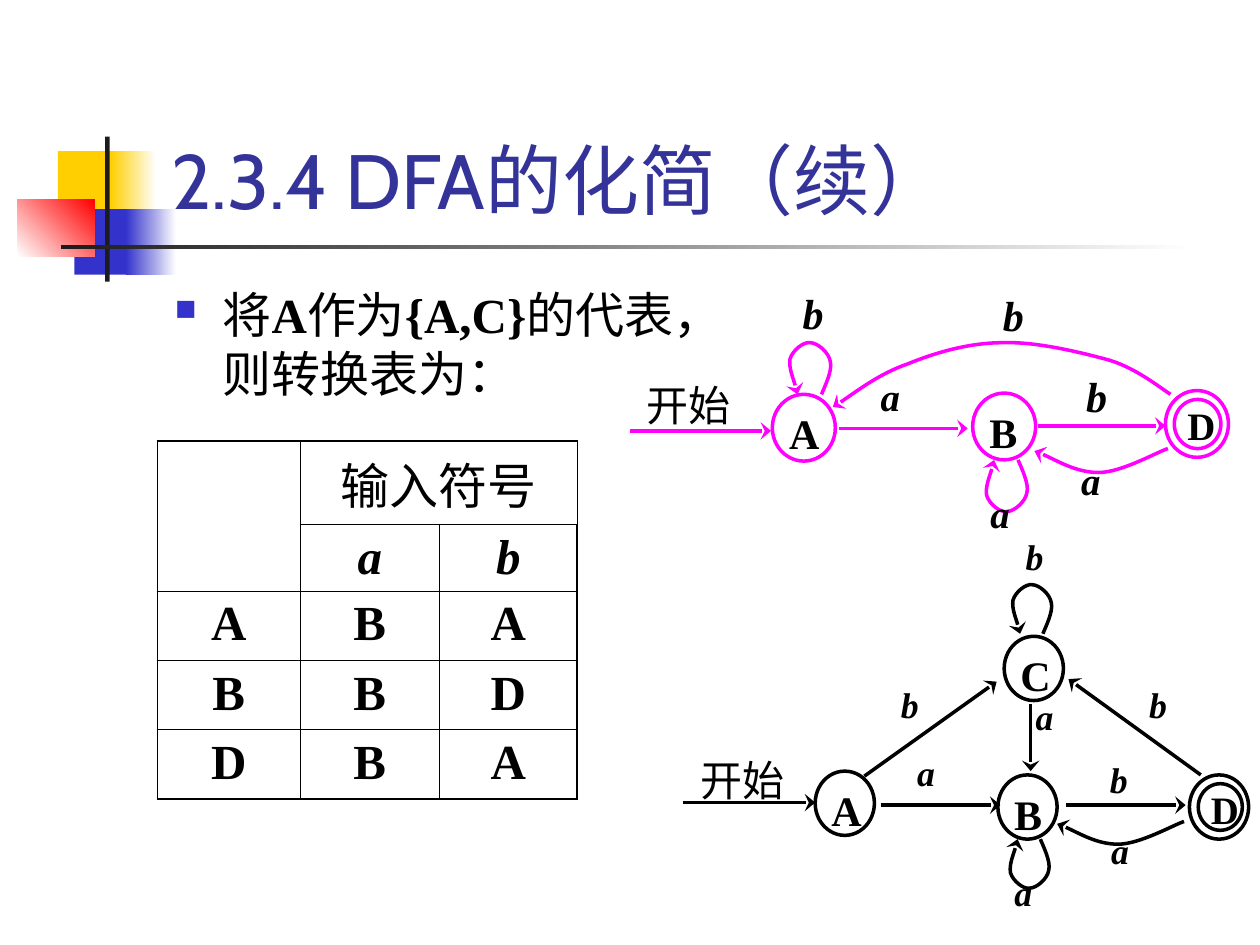
"""Build the DFA minimisation slide with its transition table and two state diagrams."""
import lxml.etree
import pptx
import pptx.dml.color
import pptx.enum.shapes
import pptx.enum.text
import pptx.oxml.ns
import pptx.util

COLOURS = {"gold": "FFCF01", "blue": "3333CC", "red": "FF0000", "white": "FFFFFF",
           "dark": "1C1C1C", "title": "333399", "black": "000000", "magenta": "FF00FF"}
RGB = {name: pptx.dml.color.RGBColor.from_string(value) for name, value in COLOURS.items()}
ALIGN = pptx.enum.text.PP_ALIGN
SHAPE = pptx.enum.shapes.MSO_SHAPE
qn = pptx.oxml.ns.qn
SERIF, SANS = "Times New Roman", "Cabin"

deck = pptx.Presentation()
deck.slide_width, deck.slide_height = pptx.util.Inches(10), pptx.util.Inches(7.5)
CELL = deck.slide_width // 100
page = deck.slides.add_slide(deck.slide_layouts[5])


def write(frame, text, size=24, font=SERIF, bold=False, italic=False, colour="black",
          align=ALIGN.LEFT, before=0, spacing=None, insets=None):
    """Append a formatted run to the first paragraph of a frame."""
    frame.word_wrap = True
    if insets:
        (frame.margin_left, frame.margin_top, frame.margin_right,
         frame.margin_bottom) = [int(inset * CELL) for inset in insets]
    para = frame.paragraphs[0]
    para.alignment, para.space_before = align, pptx.util.Pt(before)
    if spacing:
        para.line_spacing = spacing
    span = para.add_run()
    span.text = text
    span.font.size, span.font.name = pptx.util.Pt(size), font
    span.font.bold, span.font.italic = bold, italic
    span.font.color.rgb = RGB[colour]
    return para


def stroke(shape, colour, arrow=False):
    """Draw a two-point line, optionally with an arrowhead, and no shadow."""
    shape.line.color.rgb = RGB[colour]
    shape.line.width = pptx.util.Pt(2)
    properties = shape._element.spPr
    if arrow:
        lxml.etree.SubElement(properties.find(qn("a:ln")), qn("a:tailEnd"),
                              type="stealth", w="lg", len="med")
    lxml.etree.SubElement(properties, qn("a:effectLst"))


for left, top, width, height, start, end, angle in [
        (4.6, 12, 4.8, 5.2, "gold", None, 0),
        (8.8, 12, 3.6, 5.2, "gold", "white", 0),
        (5.9, 16.6, 4.6, 5.2, "blue", None, 0),
        (10, 16.6, 4, 5.2, "blue", "white", 0),
        (1.4, 15.8, 6.1, 4.6, "white", "red", 45),
        (8.35, 10.85, 0.35, 11.5, "dark", None, 0),
        (4.85, 19.45, 90, 0.35, "dark", "white", 0)]:
    block = page.shapes.add_shape(
        SHAPE.RECTANGLE, *[int(value * CELL) for value in (left, top, width, height)])
    block.shadow.inherit = False
    block.line.fill.background()
    if end:
        block.fill.gradient()
        block.fill.gradient_angle = angle
        for stop, name in zip(block.fill.gradient_stops, (start, end)):
            stop.color.rgb = RGB[name]
    else:
        block.fill.solid()
        block.fill.fore_color.rgb = RGB[start]

title = page.shapes.title
title.left, title.top, title.width, title.height = [
    int(value * CELL) for value in (12.6, 2.35, 85.2, 16)]
title.text_frame.auto_size = pptx.enum.text.MSO_AUTO_SIZE.NONE
title.text_frame.vertical_anchor = pptx.enum.text.MSO_ANCHOR.BOTTOM
write(title.text_frame, "2.3.4 DFA的化简（续）", size=44, font=SANS, colour="title")
page.shapes._spTree.append(title._element)

body = page.shapes.add_textbox(*[int(value * CELL) for value in (12.9, 22.1, 41.7, 45)])
for index, text in enumerate(["将", "A", "作为", "{A,C}", "的代表，则转换表为："]):
    latin = index % 2 == 1
    para = write(body.text_frame, text, size=28, font=SERIF if latin else SANS,
                 bold=latin, before=7)
bullet = para._p.get_or_add_pPr()
bullet.set("marL", str(int(3.8 * CELL)))
bullet.set("indent", str(int(-3.8 * CELL)))
tint = lxml.etree.SubElement(bullet, qn("a:buClr"))
lxml.etree.SubElement(tint, qn("a:srgbClr"), val=COLOURS["blue"])
lxml.etree.SubElement(bullet, qn("a:buSzPct"), val="60000")
lxml.etree.SubElement(bullet, qn("a:buFont"), typeface="Wingdings", charset="2")
lxml.etree.SubElement(bullet, qn("a:buChar"), char="n")

rows = [["", "输入符号", ""], ["", "a", "b"], ["A", "B", "A"], ["B", "B", "D"], ["D", "B", "A"]]
table = page.shapes.add_table(
    5, 3, *[int(value * CELL) for value in (12.5, 35, 33.3, 28.4)]).table
table.first_row = table.horz_banding = False
for column, width in zip(table.columns, (11.3, 11.1, 10.9)):
    column.width = int(width * CELL)
for row, height in zip(table.rows, (6.6, 5.3, 5.5, 5.5, 5.5)):
    row.height = int(height * CELL)
table.cell(0, 0).merge(table.cell(1, 0))
table.cell(0, 1).merge(table.cell(0, 2))
for r, texts in enumerate(rows):
    for c, text in enumerate(texts):
        cell = table.cell(r, c)
        cell.fill.background()
        cell.margin_left = cell.margin_right = int(0.6 * CELL)
        cell.margin_top, cell.margin_bottom = int(0.5 * CELL), 0
        if text:
            write(cell.text_frame, text, size=28, font=SERIF if r else SANS, bold=r > 0,
                  italic=r == 1, align=ALIGN.CENTER, before=7)
        outer = {"lnL": c == 0, "lnR": c == 2, "lnT": r == 0, "lnB": r == 4}
        for place, (side, thick) in enumerate(outer.items()):
            edge = lxml.etree.Element(
                qn("a:" + side), w=str(pptx.util.Pt(1.08 if thick else 0.45)))
            ink = lxml.etree.SubElement(edge, qn("a:solidFill"))
            lxml.etree.SubElement(ink, qn("a:srgbClr"), val=COLOURS["black"])
            cell._tc.get_or_add_tcPr().insert(place, edge)

LOOP = [(2.6, 0), (2.8, -0.5), (3.5, -1.9), (3.3, -2.6), (3.2, -3.3), (2.3, -4.1), (1.7, -4.1),
        (1.2, -4.2), (0.3, -3.5), (0.1, -2.8), (0, -2.1), (0.6, -0.6), (0.7, 0)]
RETURN = [(10.6, 0), (9.7, 0.3), (6.9, 1.9), (5.1, 1.9), (3.3, 1.9), (1, 0.5), (0, 0.2)]
ARCH = [(26.8, 4.2), (26, 3.7), (24.2, 2.2), (22, 1.5), (19.8, 0.9), (16.2, 0), (13.5, 0.1),
        (10.8, 0.1), (8.1, 0.9), (5.9, 1.8), (3.6, 2.6), (1.2, 4.5), (0, 5.2)]
diagrams = [
    {"colour": "black", "scale": 0.95, "ring": (4.7, 5.1), "core": (3.5, 3.7),
     "states": [("B", 79.2, 61.5), ("", 94.4, 61.5), ("D", 95.1, 62.2),
                ("A", 64.7, 61.2), ("C", 79.7, 50.5)],
     "arrows": [(54.2, 63.7, 64.7, 63.7), (69.9, 63.9, 79.4, 63.9), (84.6, 63.9, 94.1, 63.9),
                (68.6, 61.6, 79.1, 54.1), (81.8, 55.9, 81.8, 61.2), (95.3, 61.5, 84.8, 53.9)],
     "curves": [(LOOP, 80.3, 50.3, 1), (LOOP, 80.1, 66.6, -1), (RETURN, 83.9, 65.2, 1)],
     "labels": [("开始", 55, 59.6, 24), ("a", 72.2, 59.7, 20.4), ("a", 79.9, 69.2, 20.4),
                ("b", 87.5, 60.2, 20.4), ("b", 70.9, 54.3, 20.4), ("a", 87.6, 65.9, 20.4),
                ("b", 80.8, 42.5, 20.4), ("b", 90.6, 54.3, 20.4), ("a", 81.6, 55.2, 20.4)]},
    {"colour": "magenta", "scale": 1, "ring": (5, 5.3), "core": (3.7, 3.9),
     "states": [("B", 77.2, 31.2), ("", 92.5, 31), ("D", 93.2, 31.7), ("A", 61.3, 31.3)],
     "arrows": [(50, 34.2, 61.2, 34.2), (66.6, 34, 76.8, 34), (82.4, 33.8, 92.5, 33.8)],
     "curves": [(LOOP, 62.6, 31.3, 1), (LOOP, 78.2, 36.5, -1), (RETURN, 82.1, 35.6, 1),
                (ARCH, 66.1, 27.1, 1)],
     "labels": [("开始", 50.7, 29.8, 24), ("a", 69.3, 29.7, 22.2), ("a", 78, 39, 22.2),
                ("b", 85.6, 29.1, 24), ("b", 63.1, 22.5, 24), ("a", 85.2, 36.4, 22.2),
                ("b", 79, 22.7, 24)]}]

for diagram in diagrams:
    pieces = page.shapes.add_group_shape().shapes
    colour, scale = diagram["colour"], diagram["scale"]
    for name, left, top in diagram["states"]:
        extent = diagram["core" if name == "D" else "ring"]
        state = pieces.add_shape(SHAPE.OVAL, *[int(value * CELL) for value in (left, top, *extent)])
        state.fill.background()
        stroke(state, colour)
        state.text_frame.vertical_anchor = pptx.enum.text.MSO_ANCHOR.TOP
        if name == "D":
            write(state.text_frame, name, size=22.2, bold=True, align=ALIGN.JUSTIFY,
                  spacing=0.9, insets=(0.5, 0, 0.1, 0))
        elif name:
            write(state.text_frame, name, bold=True, insets=(0.6, 0.3, 0.2, 0.5))
    for ends in diagram["arrows"]:
        arrow = pieces.add_connector(pptx.enum.shapes.MSO_CONNECTOR.STRAIGHT,
                                     *[int(value * CELL) for value in ends])
        stroke(arrow, colour, arrow=True)
    for knots, left, top, flip in diagram["curves"]:
        points = [(int((left + scale * x) * CELL), int((top + flip * scale * y) * CELL))
                  for x, y in knots]
        builder = pieces.build_freeform(*points[0])
        builder.add_line_segments(points[1:], close=False)
        transition = builder.convert_to_shape()
        segments = list(transition._element.iter(qn("a:lnTo")))
        for first in range(0, len(segments), 3):
            bend = lxml.etree.Element(qn("a:cubicBezTo"))
            segments[first].addprevious(bend)
            for segment in segments[first:first + 3]:
                bend.append(segment[0])
                segment.getparent().remove(segment)
        transition.fill.background()
        stroke(transition, colour, arrow=True)
    for text, left, top, size in diagram["labels"]:
        letter = len(text) == 1
        label = pieces.add_textbox(
            *[int(value * CELL) for value in (left, top, 4 if letter else 8.2, size / 5)])
        write(label.text_frame, text, size=size, bold=letter, italic=letter,
              align=ALIGN.JUSTIFY, spacing=None if size == 24 else 0.9,
              insets=(0.6, 0.3, 0.6, 0.3))

deck.save("out.pptx")
